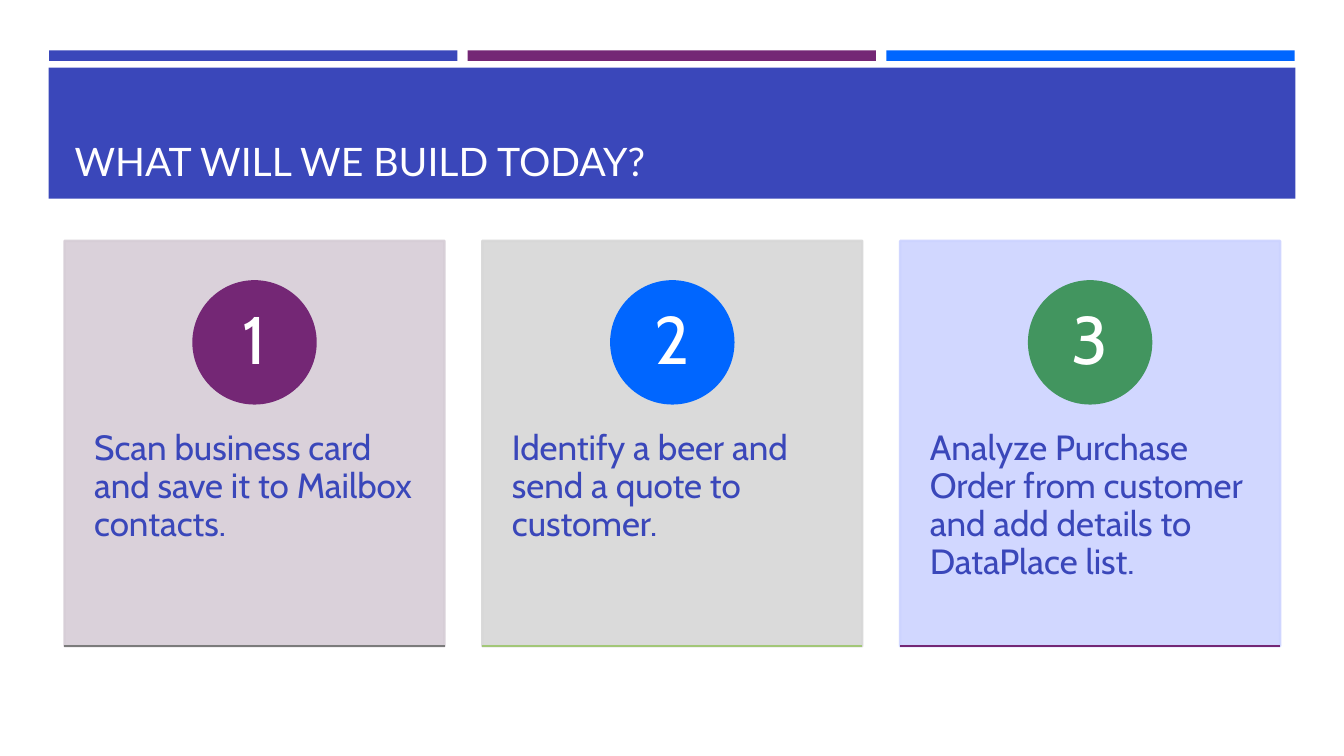
from lxml import etree
from pptx import Presentation
from pptx.dml.color import RGBColor
from pptx.enum.shapes import MSO_CONNECTOR, MSO_SHAPE
from pptx.enum.text import MSO_ANCHOR, MSO_AUTO_SIZE, PP_ALIGN
from pptx.oxml.ns import qn
from pptx.util import Pt

RECTANGLE = MSO_SHAPE.RECTANGLE
OVAL = MSO_SHAPE.OVAL
STRAIGHT = MSO_CONNECTOR.STRAIGHT
TOP, MIDDLE, BOTTOM = MSO_ANCHOR.TOP, MSO_ANCHOR.MIDDLE, MSO_ANCHOR.BOTTOM
LEFT, CENTER = PP_ALIGN.LEFT, PP_ALIGN.CENTER
NO_AUTOFIT = MSO_AUTO_SIZE.NONE

COLORS = {
    "indigo": "3A47BA",
    "purple": "742775",
    "blue": "0066FF",
    "green": "42955F",
    "mauve": "D6CDD6",
    "silver": "D7D7D7",
    "lavender": "CCD3FF",
    "gray": "7B7B7B",
    "lime": "A2C777",
    "white": "FFFFFF",
    "title": "FFFEFF",
}

STRIPES = ["indigo", "purple", "blue"]
STEPS = [
    ("Scan business card and save it to Mailbox contacts.", "mauve", "purple", "gray"),
    ("Identify a beer and send a quote to customer.", "silver", "blue", "lime"),
    ("Analyze Purchase Order from customer and add details to DataPlace list.",
     "lavender", "green", "purple"),
]

MARGIN = 46.08
CARD_WIDTH, CARD_HEIGHT = 271.44, 289.44
CARD_TOP, CARD_PITCH = 172.08, 298.44
CIRCLE_SIZE, CIRCLE_TOP = 87.12, 201


class SlideBuilder:
    title_font = "Lato"
    body_font = "Cabin"
    line_width = 1.75

    def __init__(self, slide):
        self.slide = slide

    def color(self, name):
        return RGBColor.from_string(COLORS[name])

    def shape(self, kind, left, top, width, height, fill, outlined=False, opacity=100):
        shape = self.slide.shapes.add_shape(kind, Pt(left), Pt(top), Pt(width), Pt(height))
        shape.shadow.inherit = False
        shape.fill.solid()
        shape.fill.fore_color.rgb = self.color(fill)
        if outlined:
            shape.line.color.rgb = self.color(fill)
            shape.line.width = Pt(self.line_width)
        else:
            shape.line.fill.background()
        if opacity < 100:
            for color_element in shape._element.spPr.iter(qn("a:srgbClr")):
                alpha = etree.SubElement(color_element, qn("a:alpha"))
                alpha.set("val", str(opacity * 1000))
        return shape

    def line(self, left, top, width, color):
        connector = self.slide.shapes.add_connector(
            STRAIGHT, Pt(left), Pt(top), Pt(left + width), Pt(top))
        connector.line.color.rgb = self.color(color)
        connector.line.width = Pt(self.line_width)
        etree.SubElement(connector._element.spPr, qn("a:effectLst"))

    def set_text(self, shape, text, font, size, color, anchor, alignment, insets, spacing=0.9):
        frame = shape.text_frame
        frame.word_wrap = True
        frame.auto_size = NO_AUTOFIT
        frame.vertical_anchor = anchor
        horizontal, vertical = insets
        frame.margin_left = frame.margin_right = Pt(horizontal)
        frame.margin_top = frame.margin_bottom = Pt(vertical)
        paragraph = frame.paragraphs[0]
        paragraph.alignment = alignment
        paragraph.line_spacing = spacing
        paragraph.space_before = Pt(0)
        run = paragraph.add_run()
        run.text = text
        run.font.name = font
        run.font.size = Pt(size)
        run.font.color.rgb = self.color(color)

    def title(self, text, left, top, width, height):
        title = self.slide.shapes.title
        title.left, title.top = Pt(left), Pt(top)
        title.width, title.height = Pt(width), Pt(height)
        self.set_text(title, text, self.title_font, 28, "title", BOTTOM, LEFT, (7.2, 3.6), 1.0)

    def text_box(self, text, left, top, width, height):
        box = self.slide.shapes.add_textbox(Pt(left), Pt(top), Pt(width), Pt(height))
        self.set_text(box, text, self.body_font, 25, "indigo", TOP, LEFT, (21.2, 26))

    def step_card(self, number, left, text, background, accent, rule):
        self.shape(RECTANGLE, left, CARD_TOP, CARD_WIDTH, CARD_HEIGHT, background, True, 90)
        self.text_box(text, left, 281.52, CARD_WIDTH, 173.52)
        circle_left = left + (CARD_WIDTH - CIRCLE_SIZE) / 2
        circle = self.shape(OVAL, circle_left, CIRCLE_TOP, CIRCLE_SIZE, CIRCLE_SIZE, accent, True)
        self.set_text(circle, str(number), self.body_font, 48, "white", MIDDLE, CENTER, (6.5, 0.7))
        self.line(left, CARD_TOP + CARD_HEIGHT, CARD_WIDTH, rule)


def main():
    presentation = Presentation()
    presentation.slide_width = Pt(960)
    presentation.slide_height = Pt(540)
    slide = presentation.slides.add_slide(presentation.slide_layouts[5])
    builder = SlideBuilder(slide)

    for index, color in enumerate(STRIPES):
        builder.shape(RECTANGLE, 35.1 + index * 299, 36, 291.6, 7.5, color)
    banner = builder.shape(RECTANGLE, 34.7, 48.4, 890.6, 93.6, "indigo")
    slide.shapes.title._element.addprevious(banner._element)
    builder.title("WHAT WILL WE BUILD TODAY?", MARGIN, 55.4, 868.3, 79.9)

    for index, step in enumerate(STEPS):
        builder.step_card(index + 1, MARGIN + index * CARD_PITCH, *step)

    presentation.save("out.pptx")


if __name__ == "__main__":
    main()
